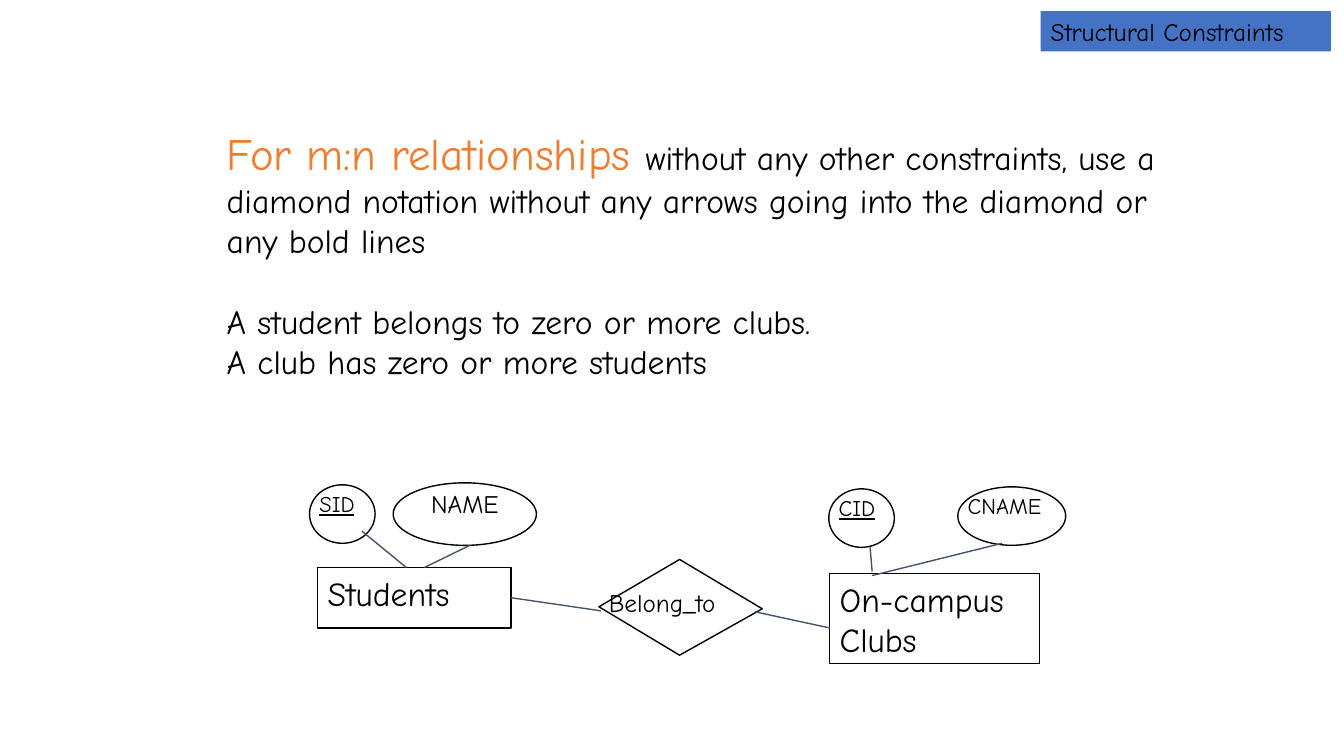
from math import cos, pi, sin

from lxml import etree
from pptx import Presentation
from pptx.dml.color import RGBColor
from pptx.enum.shapes import MSO_CONNECTOR, MSO_SHAPE
from pptx.enum.text import MSO_ANCHOR, MSO_AUTO_SIZE, PP_ALIGN
from pptx.oxml.ns import qn
from pptx.util import Inches, Pt

STRAIGHT = MSO_CONNECTOR.STRAIGHT
RECTANGLE = MSO_SHAPE.RECTANGLE
TOP = MSO_ANCHOR.TOP
NO_AUTOFIT = MSO_AUTO_SIZE.NONE
LEFT, CENTER = PP_ALIGN.LEFT, PP_ALIGN.CENTER
RIGHT_SIDE = 3

FONT = "Comic Neue"
COLORS = {
    "text": "000000",
    "highlight": "ED7D31",
    "banner": "4472C4",
    "link": "44546A",
}


def write_text(text, paragraph, size=24, color="text", underline=None, align=LEFT):
    paragraph.alignment = align
    run = paragraph.add_run()
    run.text = text
    run.font.name = FONT
    run.font.size = Pt(size)
    run.font.bold = False
    run.font.underline = underline
    run.font.color.rgb = RGBColor.from_string(COLORS[color])


def draw_outline(shape):
    shape.shadow.inherit = False
    shape.fill.background()
    shape.line.color.rgb = RGBColor.from_string(COLORS["text"])
    shape.line.width = Pt(1)
    shape.text_frame.word_wrap = True
    shape.text_frame.vertical_anchor = TOP


presentation = Presentation()
presentation.slide_width = Inches(13.33)
presentation.slide_height = Inches(7.5)
slide = presentation.slides.add_slide(presentation.slide_layouts[5])
shapes = slide.shapes

banner = shapes.title
banner.left, banner.top = Inches(10.32), Inches(0.11)
banner.width, banner.height = Inches(2.88), Inches(0.4)
banner.fill.solid()
banner.fill.fore_color.rgb = RGBColor.from_string(COLORS["banner"])
banner.text_frame.word_wrap = False
banner.text_frame.auto_size = NO_AUTOFIT
banner.text_frame.vertical_anchor = TOP
write_text("Structural Constraints", banner.text_frame.paragraphs[0], size=18)

explanation = shapes.add_textbox(Inches(2.15), Inches(1.2), Inches(9.78), Inches(2.66))
frame = explanation.text_frame
frame.word_wrap = True
rule = frame.paragraphs[0]
write_text("For m:n relationships ", rule, size=32, color="highlight")
write_text(
    "without any other constraints, use a diamond notation without any arrows "
    "going into the diamond or any bold lines",
    rule,
)
rule.space_after = Pt(29)
for sentence in (
    "A student belongs to zero or more clubs.",
    "A club has zero or more students",
):
    write_text(sentence, frame.add_paragraph())

entities = {}
for name, left, top, width, height in (
    ("On-campus Clubs", 8.23, 5.69, 2.08, 0.89),
    ("Students", 3.15, 5.63, 1.92, 0.6),
):
    entity = shapes.add_shape(
        RECTANGLE, Inches(left), Inches(top), Inches(width), Inches(height)
    )
    draw_outline(entity)
    write_text(name, entity.text_frame.paragraphs[0])
    entities[name] = entity

OVAL_STEPS = 72
for name, left, top, width, height, text_format in (
    ("NAME", 3.9, 4.79, 1.42, 0.62, {"size": 18, "align": CENTER}),
    ("SID", 3.07, 4.81, 0.65, 0.58, {"size": 16, "underline": True}),
    ("CID", 8.22, 4.85, 0.65, 0.58, {"size": 16, "underline": True}),
    ("CNAME", 9.5, 4.83, 1.07, 0.58, {"size": 16}),
):
    points = []
    for step in range(OVAL_STEPS):
        angle = 2 * pi * step / OVAL_STEPS
        x = left + width / 2 * (1 + cos(angle))
        y = top + height / 2 * (1 + sin(angle))
        points.append((Inches(x), Inches(y)))
    builder = shapes.build_freeform(*points[0])
    builder.add_line_segments(points[1:], close=True)
    attribute = builder.convert_to_shape()
    draw_outline(attribute)
    write_text(name, attribute.text_frame.paragraphs[0], **text_format)

builder = shapes.build_freeform(Inches(5.94), Inches(6.02))
builder.add_line_segments(
    [(Inches(x), Inches(y)) for x, y in ((6.74, 5.55), (7.56, 6.04), (6.74, 6.5))],
    close=True,
)
draw_outline(builder.convert_to_shape())

relationship = shapes.add_textbox(Inches(5.94), Inches(5.78), Inches(1.38), Inches(0.4))
relationship.text_frame.word_wrap = False
write_text("Belong_to", relationship.text_frame.paragraphs[0], size=18)

for start_x, start_y, end_x, end_y, joined_entity in (
    (3.59, 5.27, 4.03, 5.63, None),
    (4.66, 5.41, 4.21, 5.63, None),
    (5.96, 6.06, 5.07, 5.93, "Students"),
    (8.23, 6.23, 7.49, 6.07, None),
    (8.65, 5.67, 8.63, 5.43, None),
    (8.65, 5.71, 9.94, 5.39, None),
):
    link = shapes.add_connector(
        STRAIGHT, Inches(start_x), Inches(start_y), Inches(end_x), Inches(end_y)
    )
    link.line.color.rgb = RGBColor.from_string(COLORS["link"])
    link.line.width = Pt(1)
    etree.SubElement(link._element.spPr, qn("a:effectLst"))
    if joined_entity:
        link.end_connect(entities[joined_entity], RIGHT_SIDE)

presentation.save("out.pptx")
